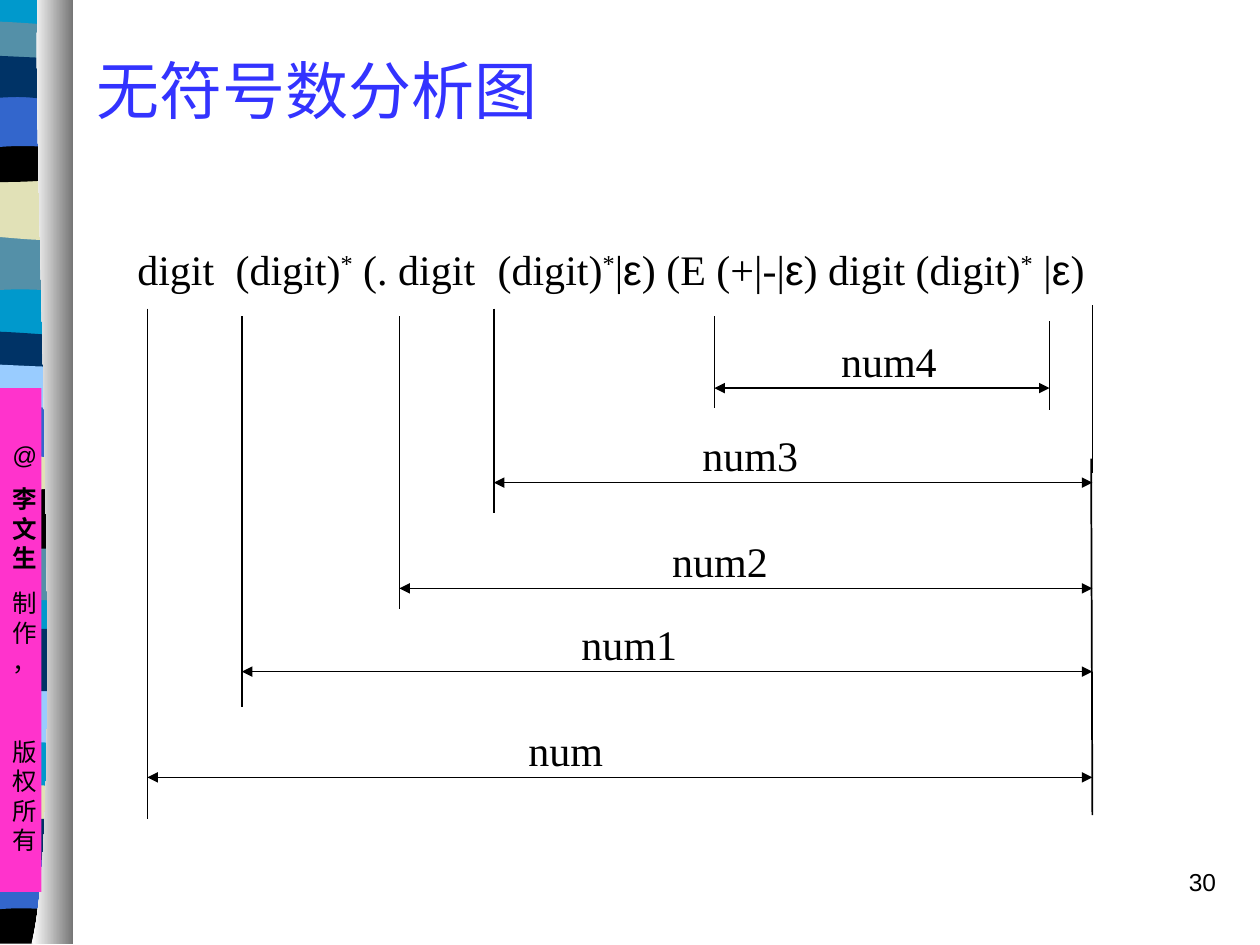
"""Build the slide on how an unsigned number is analysed, with its decorated left edge."""
from dataclasses import dataclass
from typing import NamedTuple, Optional

import lxml.etree
import pptx
import pptx.dml.color
import pptx.enum.shapes
import pptx.enum.text
import pptx.oxml.ns
import pptx.util

SCALE = 9144
ALIGN = pptx.enum.text.PP_ALIGN
ANCHOR = pptx.enum.text.MSO_ANCHOR
qn = pptx.oxml.ns.qn


@dataclass(frozen=True)
class Theme:
    ink: str = "000000"
    title: str = "3333FF"
    label: str = "FF33CC"
    sky: str = "0099CC"
    teal: str = "5490A8"
    sand: str = "E1E1B7"
    blue: str = "3366CC"
    navy: str = "003366"
    pale: str = "99CCFF"
    light: str = "FFFFFF"
    shade: str = "767676"
    serif: str = "Times New Roman"
    sans: str = "Arial"
    cjk: str = "Noto Sans CJK SC"
    title_pt: int = 36
    body_pt: int = 24
    small_pt: int = 14


T = Theme()


class Run(NamedTuple):
    text: str
    font: str = T.serif
    size: int = T.body_pt
    color: str = T.ink
    bold: bool = False
    raised: bool = False


class Para(NamedTuple):
    runs: list[Run]
    align: ALIGN = ALIGN.LEFT
    before: float = 0
    tabs: tuple[int, ...] = ()


class Band(NamedTuple):
    outline: str
    left: int
    top: int
    color: str


class Measure(NamedTuple):
    label: str
    left: int
    right: int
    y: int
    tick_top: int
    tick_bottom: int
    label_left: int
    label_width: int


OUTLINES = {
    "wave": [(109, 0), (109, 47), (34, 39, 18, 55, 0, 47), (0, 0)],
    "swell": [(109, 0), (109, 47), (90, 55, 34, 41, 0, 47), (0, 0)],
    "lens": [(109, 5), (109, 29), (90, 33, 18, 33, 0, 29), (0, 5),
             (7, 0, 24, 1, 42, 1), (60, 1, 95, 4, 109, 5)],
    "bowl": [(109, 0), (109, 32), (90, 38, 18, 38, 0, 32), (0, 0), (67, 5, 86, 0, 109, 0)],
    "arch": [(109, 0), (109, 47), (92, 42, 85, 42, 67, 42), (49, 42, 17, 47, 0, 47), (0, 0)],
    "strip": [(109, 5), (109, 36), (102, 41, 85, 36, 67, 36), (49, 36, 11, 41, 0, 36),
              (0, 5), (16, 0, 74, 5, 92, 5), (110, 5, 105, 5, 109, 5)],
    "foot": [(109, 0), (109, 37), (0, 37), (0, 0), (67, 5, 86, 0, 109, 0)],
    "roll": [(5, 0), (0, 126, 28, 647, 0, 750), (33, 750), (33, 0)],
}
BANDS = [
    Band("wave", -53, 185, T.teal), Band("swell", -53, 141, T.sand),
    Band("lens", -53, 16, T.teal), Band("bowl", -53, 108, T.ink),
    Band("arch", -53, 74, T.blue), Band("strip", -53, 41, T.navy),
    Band("wave", -54, 431, T.teal), Band("swell", -54, 386, T.ink),
    Band("lens", -54, 262, T.navy), Band("bowl", -54, 353, T.sand),
    Band("arch", -54, 320, T.blue), Band("strip", -54, 286, T.pale),
    Band("wave", -53, 544, T.pale), Band("swell", -53, 499, T.navy),
    Band("lens", -54, 620, T.sand), Band("foot", -54, 712, T.ink),
    Band("arch", -54, 679, T.blue), Band("strip", -54, 645, T.navy),
]
MEASURES = [
    Measure("num3", 392, 867, 383, 245, 407, 541, 109),
    Measure("num2", 317, 867, 467, 251, 483, 510, 123),
    Measure("num1", 192, 867, 533, 251, 561, 433, 133),
    Measure("num4", 567, 833, 308, 251, 324, 645, 121),
    Measure("num", 117, 867, 617, 245, 650, 398, 102),
]
STAR = Run("*", raised=True)
EPSILON = Run("ε", T.sans)
FORMULA = [Run("digit\t(digit)"), STAR, Run(" (. digit\t(digit)"), STAR, Run("|"), EPSILON,
           Run(") (E (+|-|"), EPSILON, Run(") digit (digit)"), STAR, Run(" |"), EPSILON, Run(")")]


def px(n: float) -> int:
    return round(n * SCALE)


def rgb(color: str) -> pptx.dml.color.RGBColor:
    return pptx.dml.color.RGBColor.from_string(color)


def paint(sp, color: str) -> None:
    sp.shadow.inherit = False
    sp.fill.solid()
    sp.fill.fore_color.rgb = rgb(color)
    sp.line.fill.background()


def add_block(s, left: int, top: int, width: int, height: int, color: str):
    sp = s.shapes.add_shape(pptx.enum.shapes.MSO_SHAPE.RECTANGLE,
                            px(left), px(top), px(width), px(height))
    paint(sp, color)
    return sp


def add_outline(s, band: Band):
    steps = OUTLINES[band.outline]
    points = [(px(band.left + x), px(band.top + y))
              for step in steps for x, y in zip(step[::2], step[1::2])]
    fb = s.shapes.build_freeform(*points[0])
    fb.add_line_segments(points[1:], close=True)
    sp = fb.convert_to_shape()
    segments = iter(list(sp._element.iter(qn("a:lnTo"))))
    for step in steps[1:]:
        segment = next(segments)
        if len(step) == 6:
            segment.addprevious(curve := lxml.etree.Element(qn("a:cubicBezTo")))
            for part in (segment, next(segments), next(segments)):
                curve.append(part[0])
                part.getparent().remove(part)
    paint(sp, band.color)
    return sp


def write(sp, paras: list[Para], insets: tuple[int, int, int, int], anchor: ANCHOR = ANCHOR.TOP) -> None:
    tf = sp.text_frame
    tf.word_wrap = True
    tf.vertical_anchor = anchor
    tf.margin_left, tf.margin_top, tf.margin_right, tf.margin_bottom = map(px, insets)
    for i, para in enumerate(paras):
        p = tf.paragraphs[0] if i == 0 else tf.add_paragraph()
        p.alignment = para.align
        p.space_before = pptx.util.Pt(para.before)
        if para.tabs:
            tabs = lxml.etree.SubElement(p._p.get_or_add_pPr(), qn("a:tabLst"))
            for pos in para.tabs:
                lxml.etree.SubElement(tabs, qn("a:tab"), pos=str(px(pos)), algn="l")
        for run in para.runs:
            r = p.add_run()
            r.text = run.text
            r.font.size = pptx.util.Pt(run.size)
            r.font.bold = run.bold
            r.font.color.rgb = rgb(run.color)
            r.font.name = run.font
            rPr = r._r.get_or_add_rPr()
            lxml.etree.SubElement(rPr, qn("a:ea"), typeface=run.font)
            if run.raised:
                rPr.set("baseline", "30000")


def add_text(s, left: int, top: int, width: int, height: int, para: Para,
             insets: tuple[int, int, int, int] = (1, 1, 1, 1), anchor: ANCHOR = ANCHOR.TOP) -> None:
    sp = s.shapes.add_textbox(px(left), px(top), px(width), px(height))
    write(sp, [para], insets, anchor)


def add_line(s, x1: int, y1: int, x2: int, y2: int, weight: float, arrow: Optional[str] = None) -> None:
    sp = s.shapes.add_connector(pptx.enum.shapes.MSO_CONNECTOR.STRAIGHT, px(x1), px(y1), px(x2), px(y2))
    sp.line.width = pptx.util.Pt(weight)
    sp.line.color.rgb = rgb(T.ink)
    if arrow:
        for end in ("a:headEnd", "a:tailEnd"):
            lxml.etree.SubElement(sp.line._get_or_add_ln(), qn(end), type=arrow)
    lxml.etree.SubElement(sp._element.spPr, qn("a:effectLst"))


def add_measure(s, m: Measure) -> None:
    add_line(s, m.left, m.tick_top, m.left, m.tick_bottom, 1)
    add_text(s, m.label_left, m.y - 43, m.label_width, 52, Para([Run(m.label)], ALIGN.CENTER))
    add_line(s, m.left, m.y, m.right, m.y, 0.75, "triangle")


def add_edge(s) -> None:
    add_block(s, -53, -1, 109, 748, T.sky)
    for band in BANDS:
        add_outline(s, band)
    roll = add_outline(s, Band("roll", 25, -1, T.light))
    roll.fill.gradient()
    roll.fill.gradient_angle = 0
    for stop, color in zip(roll.fill.gradient_stops, (T.light, T.shade)):
        stop.color.rgb = rgb(color)
    words = [("@", 0, False), ("李文生", 8.8, True), ("制作，", 8.8, False), ("版权所有", 34.6, False)]
    write(add_block(s, 0, 308, 33, 400, T.label),
          [Para([Run(text, T.sans, T.small_pt, bold=bold)], ALIGN.CENTER, before)
           for text, before, bold in words], (10, 41, 10, 5))


def main() -> None:
    prs = pptx.Presentation()
    prs.slide_width, prs.slide_height = px(1000), px(750)
    s = prs.slides.add_slide(prs.slide_layouts[6])
    add_edge(s)
    add_text(s, 67, 8, 912, 125, Para([Run("无符号数分析图", T.cjk, T.title_pt, T.title)]),
             (10, 5, 10, 5), ANCHOR.MIDDLE)
    add_text(s, 83, 192, 825, 78, Para(FORMULA, ALIGN.JUSTIFY, tabs=(78, 286)), (26, 1, 1, 1))
    for m in MEASURES:
        add_measure(s, m)
    add_line(s, 833, 255, 833, 325, 0.75)
    add_line(s, 866, 364, 867, 647, 1)
    add_line(s, 867, 375, 867, 242, 0.75)
    add_text(s, 767, 683, 208, 50, Para([Run("30", T.sans, T.small_pt)], ALIGN.RIGHT), (10, 5, 10, 5))
    prs.save("out.pptx")


if __name__ == "__main__":
    main()
